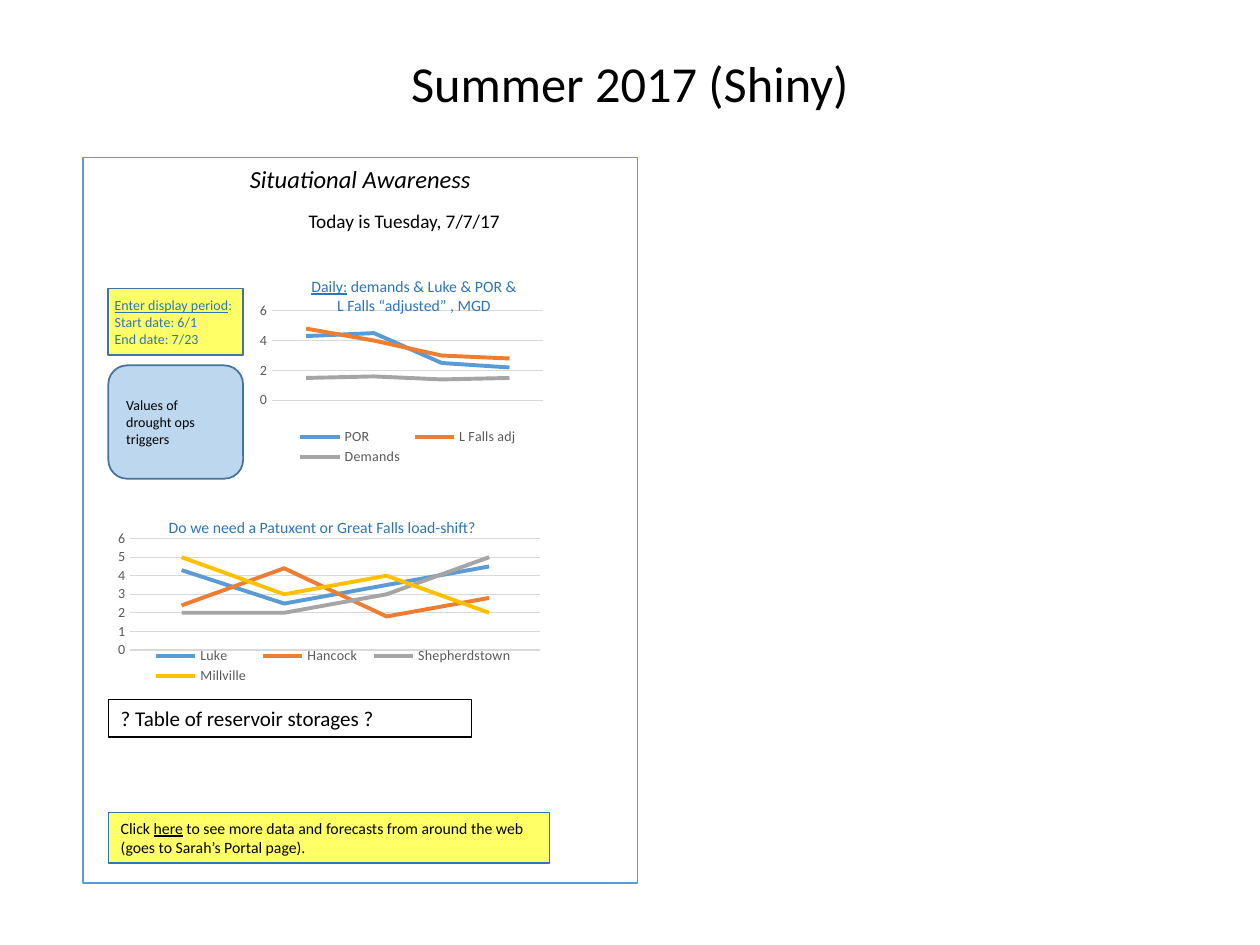
from dataclasses import dataclass

import pptx
import pptx.chart.data
import pptx.dml.color
import pptx.enum.chart
import pptx.enum.shapes
import pptx.enum.text
import pptx.oxml
import pptx.slide
import pptx.util

Inches = pptx.util.Inches
Pt = pptx.util.Pt
Shape = pptx.enum.shapes.MSO_SHAPE
Align = pptx.enum.text.PP_ALIGN
Anchor = pptx.enum.text.MSO_ANCHOR
Chart = pptx.enum.chart

HUES = {
    "black": "000000", "white": "FFFFFF", "blue": "5B9BD5", "orange": "ED7D31",
    "grey": "A5A5A5", "gold": "FFC000", "pale": "BDD7EE", "edge": "43739E",
    "link": "2E75B6", "yellow": "FFFF66", "label": "595959", "grid": "D9D9D9",
}
LINES = ("blue", "orange", "grey", "gold")


def hue(name):
    return pptx.dml.color.RGBColor.from_string(HUES[name])


def apply(item, values):
    for key, value in values.items():
        setattr(item, key, value)


@dataclass
class Board:
    slide: pptx.slide.Slide
    face: str = "Calibri"

    def font(self, font, size, color, **extra):
        apply(font, {"name": self.face, "size": Pt(size), **extra})
        font.color.rgb = hue(color)

    def label(self, shape, paras, size, color="black", align=Align.LEFT,
              anchor=Anchor.TOP, inset=None, space=None, italic=False):
        frame = shape.text_frame
        apply(frame, {"word_wrap": True, "vertical_anchor": anchor})
        if inset is not None:
            sides = ("left", "right", "top", "bottom")
            apply(frame, {f"margin_{side}": Inches(inset) for side in sides})
        for spot, runs in enumerate(paras):
            para = frame.add_paragraph() if spot else frame.paragraphs[0]
            apply(para, {"alignment": align, "line_spacing": space})
            for words, under in runs:
                run = para.add_run()
                run.text = words
                self.font(run.font, size, color, italic=italic, underline=under)

    def text(self, box, paras, size, **look):
        shape = self.slide.shapes.add_textbox(*map(Inches, box))
        self.label(shape, paras, size, **look)

    def panel(self, box, paras, size, fill, edge, width=1, kind=Shape.RECTANGLE, **look):
        shape = self.slide.shapes.add_shape(kind, *map(Inches, box))
        shape.shadow.inherit = False
        if fill:
            shape.fill.solid()
            shape.fill.fore_color.rgb = hue(fill)
        else:
            shape.fill.background()
        shape.line.color.rgb = hue(edge)
        shape.line.width = Pt(width)
        self.label(shape, paras, size, **look)

    def place(self, node, area, inner=False):
        for old in node.findall(pptx.oxml.ns.qn("c:layout")):
            node.remove(old)
        target = '<c:layoutTarget val="inner"/>' if inner else ""
        modes = "".join(f'<c:{key}Mode val="edge"/>' for key in "xy")
        sizes = "".join(f'<c:{key} val="{value}"/>' for key, value in zip("xywh", area))
        layout = pptx.oxml.parse_xml(
            f'<c:layout {pptx.oxml.ns.nsdecls("c")}><c:manualLayout>'
            f"{target}{modes}{sizes}</c:manualLayout></c:layout>")
        node.insert(0 if inner else 1, layout)

    def graph(self, box, series, step, plot, key):
        data = pptx.chart.data.CategoryChartData()
        data.categories = ["1", "2", "3", "4"]
        for name, values in series.items():
            data.add_series(name, values)
        chart = self.slide.shapes.add_chart(
            Chart.XL_CHART_TYPE.LINE, *map(Inches, box), data).chart
        apply(chart, {"has_title": False, "has_legend": True})
        self.font(chart.font, 10, "black")
        chart.plots[0].vary_by_categories = False
        chart.category_axis.visible = False
        axis = chart.value_axis
        none = Chart.XL_TICK_MARK.NONE
        apply(axis, {"minimum_scale": 0, "maximum_scale": 6, "major_unit": step,
                     "major_tick_mark": none, "minor_tick_mark": none})
        axis.format.line.fill.background()
        grid = axis.major_gridlines.format.line
        grid.color.rgb = hue("grid")
        grid.width = Pt(0.75)
        apply(chart.legend, {"position": Chart.XL_LEGEND_POSITION.BOTTOM,
                             "include_in_layout": False})
        for part in (axis.tick_labels, chart.legend):
            self.font(part.font, 8, "label")
        for line, color in zip(chart.plots[0].series, LINES):
            line.smooth = False
            line.marker.style = Chart.XL_MARKER_STYLE.NONE
            line.format.line.color.rgb = hue(color)
            line.format.line.width = Pt(2.25)
        self.place(chart.plots[0]._element.getparent(), plot, True)
        self.place(chart.legend._element, key)


def main():
    deck = pptx.Presentation()
    apply(deck, {"slide_width": Inches(10), "slide_height": Inches(7.5)})
    board = Board(deck.slides.add_slide(deck.slide_layouts[6]))
    left, wide = 0.86, 1.07
    mid = {"anchor": Anchor.MIDDLE}
    head = {**mid, "align": Align.CENTER}

    board.text((0.69, 0.4, 8.62, 0.57), [[("Summer 2017 (Shiny)", False)]],
               28.8, space=0.9, **head)
    board.panel((0.66, 1.25, 4.4, 5.76), [[("Situational Awareness", False)]],
                14, "white", "blue", align=Align.CENTER, italic=True)
    board.panel((left, 2.9, wide, 0.9), [[("Values of drought ops triggers", False)]],
                8, "pale", "edge", kind=Shape.ROUNDED_RECTANGLE, **mid)
    board.graph((2.02, 2.37, 2.34, 1.37),
                {"POR": (4.3, 4.5, 2.5, 2.2), "L Falls adj": (4.8, 4, 3, 2.8),
                 "Demands": (1.5, 1.6, 1.4, 1.5)},
                2, (0.06, 0.07, 0.92, 0.52), (0.12, 0.73, 0.8, 0.26))
    board.text((2.35, 2.21, 1.87, 0.27),
               [[("Daily:", True),
                 (" demands & Luke & POR & L Falls “adjusted” , MGD", False)]],
               9, color="link", **head)
    board.panel((left, 2.29, wide, 0.53),
                [[("Enter display period", True), (":", False)],
                 [("Start date: 6/1", False)], [("End date: 7/23", False)]],
                8, "yellow", "edge", color="link", inset=0.05, **mid)
    board.text((2.35, 1.61, 2.01, 0.29), [[("Today is Tuesday, 7/7/17", False)]], 11)
    board.panel((left, 5.55, 2.88, 0.3), [[("? Table of reservoir storages ?", False)]],
                12, None, "black", 0.75)
    board.graph((left, 4.18, 3.5, 1.36),
                {"Luke": (4.3, 2.5, 3.5, 4.5), "Hancock": (2.4, 4.4, 1.8, 2.8),
                 "Shepherdstown": (2, 2, 3, 5), "Millville": (5, 3, 4, 2)},
                1, (0.05, 0.07, 0.93, 0.65), (0.08, 0.69, 0.86, 0.25))
    board.text((1.11, 4.02, 2.89, 0.32),
               [[("Do we need a Patuxent or Great Falls load-shift?", False)]],
               9, color="link", **head)
    board.panel((left, 6.45, 3.5, 0.4),
                [[("Click ", False), ("here", True),
                  (" to see more data and forecasts from around the web "
                   "(goes to Sarah’s Portal page).", False)]],
                9, "yellow", "link", 0.75)
    deck.save("out.pptx")


if __name__ == "__main__":
    main()
